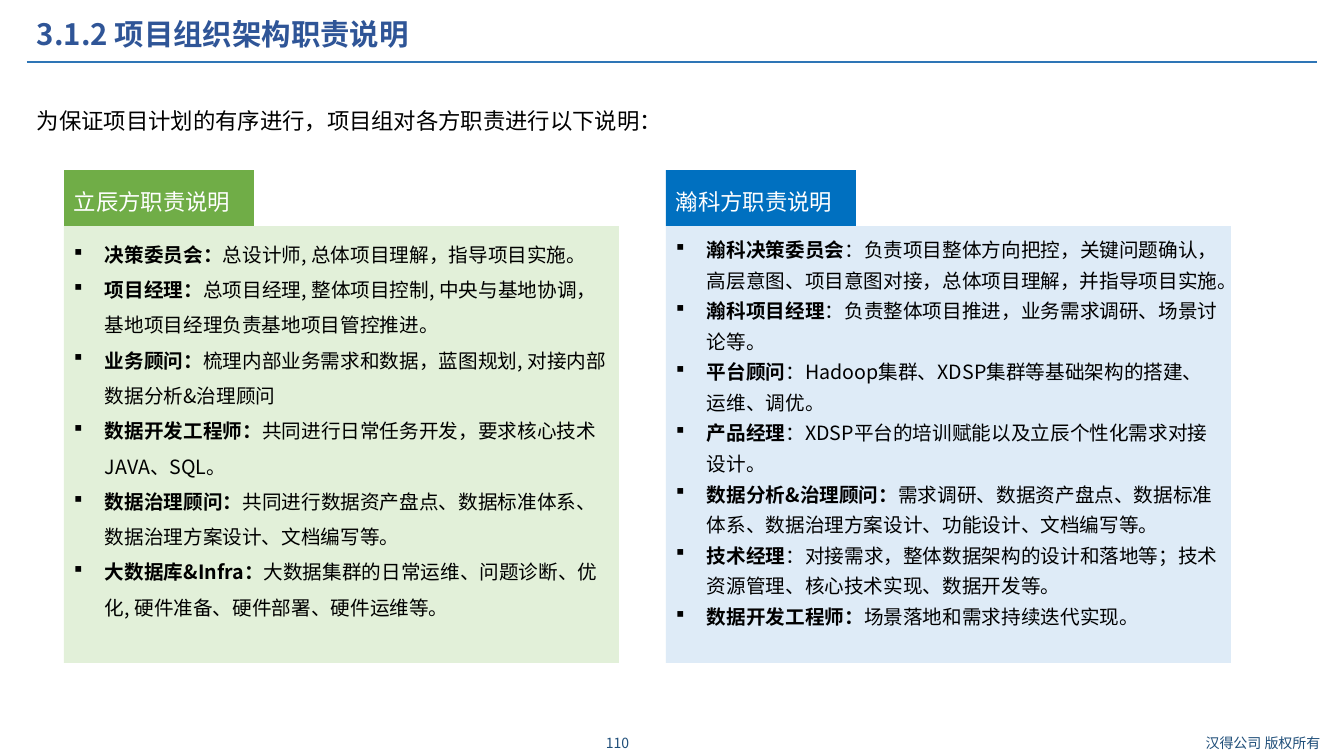
from pptx import Presentation
from pptx.dml.color import RGBColor
from pptx.enum.shapes import MSO_CONNECTOR, MSO_SHAPE
from pptx.enum.text import MSO_ANCHOR, PP_ALIGN
from pptx.oxml.ns import qn
from pptx.util import Pt
from lxml import etree

TITLE = "3.1.2 项目组织架构职责说明"
INTRO = "为保证项目计划的有序进行，项目组对各方职责进行以下说明："
PAGE_NUMBER = "110"
COPYRIGHT = "汉得公司 版权所有"
CLIENT_DUTIES = [
    ("决策委员会：", "总设计师, 总体项目理解，指导项目实施。"),
    ("项目经理：", "总项目经理, 整体项目控制, 中央与基地协调，基地项目经理负责基地项目管控推进。"),
    ("业务顾问：", "梳理内部业务需求和数据，蓝图规划, 对接内部数据分析&治理顾问"),
    ("数据开发工程师：", "共同进行日常任务开发，要求核心技术JAVA、SQL。"),
    ("数据治理顾问：", "共同进行数据资产盘点、数据标准体系、数据治理方案设计、文档编写等。"),
    ("大数据库&Infra：", "大数据集群的日常运维、问题诊断、优化, 硬件准备、硬件部署、硬件运维等。"),
]
VENDOR_DUTIES = [
    ("瀚科决策委员会", "：负责项目整体方向把控，关键问题确认，高层意图、项目意图对接，总体项目理解，并指导项目实施。"),
    ("瀚科项目经理", "：负责整体项目推进，业务需求调研、场景讨论等。"),
    ("平台顾问", "：Hadoop集群、XDSP集群等基础架构的搭建、运维、调优。"),
    ("产品经理", "：XDSP平台的培训赋能以及立辰个性化需求对接设计。"),
    ("数据分析&治理顾问：", "需求调研、数据资产盘点、数据标准体系、数据治理方案设计、功能设计、文档编写等。"),
    ("技术经理", "：对接需求，整体数据架构的设计和落地等；技术资源管理、核心技术实现、数据开发等。"),
    ("数据开发工程师：", "场景落地和需求持续迭代实现。"),
]

FONT = "Noto Sans CJK SC"
BLACK = RGBColor(0x00, 0x00, 0x00)
WHITE = RGBColor(0xFF, 0xFF, 0xFF)
TITLE_BLUE = RGBColor(0x2F, 0x55, 0x97)
FOOTER_BLUE = RGBColor(0x1F, 0x4E, 0x79)
RULE_BLUE = RGBColor(0x2E, 0x75, 0xB6)
GREEN = RGBColor(0x70, 0xAD, 0x47)
PALE_GREEN = RGBColor(0xE2, 0xF0, 0xD9)
BLUE = RGBColor(0x00, 0x70, 0xC0)
PALE_BLUE = RGBColor(0xDE, 0xEB, 0xF7)
LEFT, CENTER = PP_ALIGN.LEFT, PP_ALIGN.CENTER
TOP, MIDDLE = MSO_ANCHOR.TOP, MSO_ANCHOR.MIDDLE
RECTANGLE, STRAIGHT = MSO_SHAPE.RECTANGLE, MSO_CONNECTOR.STRAIGHT

EMU_PER_PX = 9071
PAGE_WIDTH, PAGE_HEIGHT = 1344, 756
TAB_TOP, TAB_WIDTH, TAB_HEIGHT = 170, 190, 56
PANEL_HEIGHT = 437
BULLET_INDENT = 31

# left, width, heading, heading fill, panel fill, duties, line spacing
PANELS = [
    (64, 555, "立辰方职责说明", GREEN, PALE_GREEN, CLIENT_DUTIES, 1.5),
    (666, 565, "瀚科方职责说明", BLUE, PALE_BLUE, VENDOR_DUTIES, 1.3),
]
# text, place, format, alignment, anchor, line spacing
LABELS = [
    (PAGE_NUMBER, (582, 729, 71, 27), {"size": 10, "color": FOOTER_BLUE}, CENTER, MIDDLE, 1.0),
    (COPYRIGHT, (1183, 729, 160, 27), {"size": 10, "color": FOOTER_BLUE}, CENTER, MIDDLE, 1.0),
    (TITLE, (27, 15, 1166, 42), {"size": 21, "color": TITLE_BLUE, "bold": True}, LEFT, TOP, 0.9),
    (INTRO, (27, 102, 1269, 37), {"size": 16, "color": BLACK}, LEFT, TOP, 1.0),
]


def px(*lengths):
    return [length * EMU_PER_PX for length in lengths]


def add_span(para, text, size, color, bold=False):
    span = para.add_run()
    span.text = text
    for name, value in {"size": Pt(size), "bold": bold, "name": FONT}.items():
        setattr(span.font, name, value)
    span.font.color.rgb = color
    etree.SubElement(span.font._element, qn("a:ea"), typeface=FONT)


def add_bullet(para):
    properties = para._p.get_or_add_pPr()
    indent, = px(BULLET_INDENT)
    properties.set("marL", str(indent))
    properties.set("indent", str(-indent))
    etree.SubElement(properties, qn("a:buFont"), typeface="Wingdings")
    etree.SubElement(properties, qn("a:buChar"), char="§")


def set_frame(box, anchor):
    frame = box.text_frame
    frame.word_wrap = True
    frame.vertical_anchor = anchor
    return frame


def set_para(para, alignment, line_spacing):
    para.alignment = alignment
    para.line_spacing = line_spacing


def add_block(page, place, fill):
    """Add a filled, borderless rectangle and return its text frame."""
    block = page.shapes.add_shape(RECTANGLE, *px(*place))
    block.shadow.inherit = False
    block.fill.solid()
    block.fill.fore_color.rgb = fill
    block.line.fill.background()
    return set_frame(block, TOP)


def add_panel(page, left, width, heading, tab_fill, panel_fill, duties, line_spacing):
    frame = add_block(page, (left, TAB_TOP + TAB_HEIGHT, width, PANEL_HEIGHT), panel_fill)
    for index, (role, duty) in enumerate(duties):
        para = frame.add_paragraph() if index else frame.paragraphs[0]
        add_bullet(para)
        set_para(para, LEFT, line_spacing)
        add_span(para, role, 14, BLACK, bold=True)
        add_span(para, duty, 14, BLACK)

    tab = add_block(page, (left, TAB_TOP, TAB_WIDTH, TAB_HEIGHT), tab_fill)
    set_para(tab.paragraphs[0], LEFT, 1.5)
    add_span(tab.paragraphs[0], heading, 16, WHITE)


def main():
    deck = Presentation()
    deck.slide_width, deck.slide_height = px(PAGE_WIDTH, PAGE_HEIGHT)
    page = deck.slides.add_slide(deck.slide_layouts[6])

    rule = page.shapes.add_connector(STRAIGHT, *px(27, 62, 1317, 62))
    rule.line.color.rgb = RULE_BLUE
    rule.line.width = Pt(0.75)
    etree.SubElement(rule._element.spPr, qn("a:effectLst"))

    for text, place, style, alignment, anchor, line_spacing in LABELS:
        frame = set_frame(page.shapes.add_textbox(*px(*place)), anchor)
        set_para(frame.paragraphs[0], alignment, line_spacing)
        add_span(frame.paragraphs[0], text, **style)

    for panel in PANELS:
        add_panel(page, *panel)

    deck.save("out.pptx")


if __name__ == "__main__":
    main()
